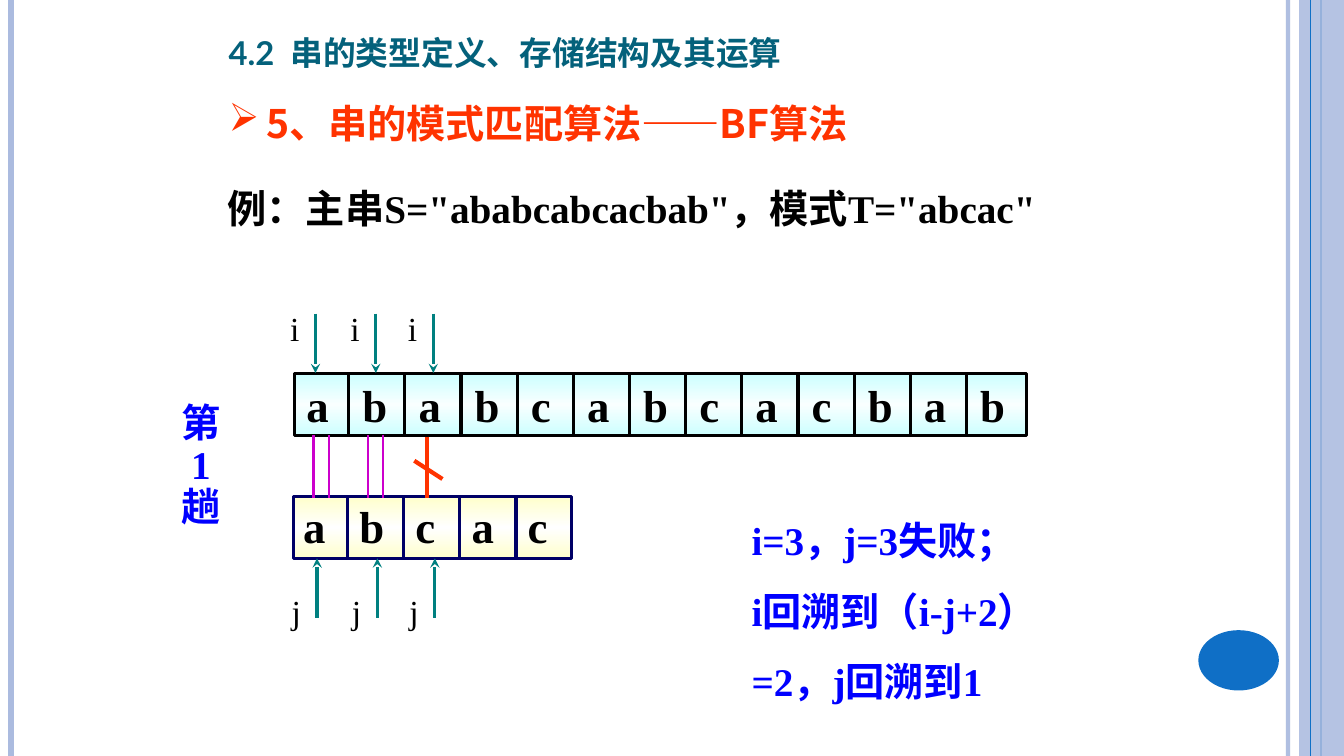
from copy import deepcopy

from lxml.etree import SubElement
from pptx import Presentation
from pptx.dml.color import RGBColor
from pptx.enum.shapes import MSO_CONNECTOR, MSO_SHAPE
from pptx.enum.text import MSO_ANCHOR, MSO_AUTO_SIZE, PP_ALIGN
from pptx.oxml.ns import qn
from pptx.util import Cm, Pt

BLACK = RGBColor(0, 0, 0)
WHITE = RGBColor(255, 255, 255)
BLUE = RGBColor(0, 0, 255)
RED = RGBColor(0xFF, 0x33, 0)
TEAL = RGBColor(0, 0x80, 0x80)
PURPLE = RGBColor(0xCC, 0, 0xCC)
NAVY = RGBColor(0, 0, 0x66)
CYAN = RGBColor(0xCC, 0xFF, 0xFF)
PALE_CYAN = RGBColor(0xF9, 0xFF, 0xFF)
CREAM = RGBColor(0xFF, 0xFF, 0xCC)
TITLE_BLUE = RGBColor(0x04, 0x61, 0x7B)
THEME_BLUE = RGBColor(0x0F, 0x6F, 0xC6)
LAVENDER = RGBColor(0xAB, 0xBB, 0xDF)
SERIF = "Times New Roman"
CHINESE = "Noto Sans CJK SC"


def write(frame, text, size=28, color=BLACK, bold=True, font=SERIF, spacing=1.0, inset=(0.25, 0.13),
          anchor=MSO_ANCHOR.TOP, small_caps=False):
    """Fill a text frame, one paragraph per line of text."""
    frame.word_wrap = True
    frame.auto_size = MSO_AUTO_SIZE.NONE
    frame.vertical_anchor = anchor
    frame.margin_left = frame.margin_right = Cm(inset[0])
    frame.margin_top = frame.margin_bottom = Cm(inset[1])
    for index, line in enumerate(text.split("\n")):
        para = frame.add_paragraph() if index else frame.paragraphs[0]
        para.alignment = PP_ALIGN.LEFT
        para.line_spacing = spacing
        span = para.add_run()
        span.text = line
        span.font.size = Pt(size)
        span.font.bold = bold
        span.font.color.rgb = color
        span.font.name = font
        properties = span.font._element
        SubElement(properties, qn("a:ea")).set("typeface", CHINESE)
        if small_caps:
            properties.set("cap", "small")


def set_alpha(element, percent):
    """Make the first plain colour of an element partly transparent."""
    color = element.find(".//" + qn("a:srgbClr"))
    SubElement(color, qn("a:alpha")).set("val", str(percent * 1000))


class Board:
    """Draws the elements of the current slide in one style."""

    def __init__(self, page):
        self.page = page

    def title(self, text, left, top, width, height, **style):
        """Place and format the title placeholder."""
        box = self.page.shapes.title
        box.left, box.top, box.width, box.height = Cm(left), Cm(top), Cm(width), Cm(height)
        write(box.text_frame, text, **style)

    def text(self, text, left, top, width, height, **style):
        """Add a text box."""
        box = self.page.shapes.add_textbox(Cm(left), Cm(top), Cm(width), Cm(height))
        write(box.text_frame, text, **style)
        return box

    def line(self, start, end, color, width, arrow=False, alpha=None):
        """Add a straight line, with an arrowhead if asked."""
        line = self.page.shapes.add_connector(MSO_CONNECTOR.STRAIGHT, *map(Cm, start + end))
        line.line.color.rgb = color
        line.line.width = Pt(width)
        if alpha:
            set_alpha(line._element.spPr, alpha)
        if arrow:
            SubElement(line.line._get_or_add_ln(), qn("a:tailEnd")).set("type", "stealth")
        SubElement(line._element.spPr, qn("a:effectLst"))

    def shape(self, kind, left, top, width, height, color, alpha=None):
        """Add a filled shape without outline."""
        shape = self.page.shapes.add_shape(kind, Cm(left), Cm(top), Cm(width), Cm(height))
        shape.shadow.inherit = False
        shape.fill.solid()
        shape.fill.fore_color.rgb = color
        shape.line.fill.background()
        if alpha:
            set_alpha(shape._element.spPr, alpha)
        return shape

    def string_row(self, letters, left, top, width, first, edge, glow, border, inset, spacing=1.0):
        """Add a gradient bar divided into one cell per letter."""
        height, pitch = 1.55, 1.415
        bar = self.shape(MSO_SHAPE.RECTANGLE, left, top, width, height, edge)
        bar.fill.gradient()
        bar.fill.gradient_angle = 90
        stops = bar._element.spPr.find(".//" + qn("a:gsLst"))
        stops.append(deepcopy(stops[0]))
        for stop, color, position in zip(bar.fill.gradient_stops, (edge, glow, edge), (0, 0.5, 1)):
            stop.color.rgb = color
            stop.position = position
        bar.line.color.rgb = border
        bar.line.width = Pt(2.25)
        write(bar.text_frame, "\t".join(letters), size=32, inset=(inset, 0), spacing=spacing,
              anchor=MSO_ANCHOR.MIDDLE)
        tabs = SubElement(bar.text_frame.paragraphs[0]._p.get_or_add_pPr(), qn("a:tabLst"))
        for index in range(1, len(letters)):
            tab = SubElement(tabs, qn("a:tab"))
            tab.set("pos", str(Cm(index * pitch)))
            tab.set("algn", "l")
            x = first + (index - 1) * pitch
            self.line((x, top), (x, top + height), border, 2.25)

    def pointer(self, name, x, label_top, tail, tip):
        """Add an index arrow with its name to the left."""
        self.line((x, tail), (x, tip), TEAL, 2.25, arrow=True)
        self.text(name, x - 0.64, label_top, 0.64, 1.27, size=24, bold=False, inset=(0, 0.13))


deck = Presentation()
deck.slide_width, deck.slide_height = Cm(33.87), Cm(19.05)
board = Board(deck.slides.add_slide(deck.slide_layouts[5]))

for x, color, width, alpha in ((32.46, LAVENDER, 3, 93), (0.28, LAVENDER, 4.5, None),
                               (33.3, THEME_BLUE, 1.5, None)):
    board.line((x, 0), (x, 19.05), color, width, alpha=alpha)
board.shape(MSO_SHAPE.RECTANGLE, 32.74, 0, 1.13, 19.05, LAVENDER, alpha=87)
board.line((33.02, 0), (33.02, 19.05), THEME_BLUE, 0.75)
board.shape(MSO_SHAPE.OVAL, 30.2, 15.88, 2.03, 1.52, THEME_BLUE)

board.title("4.2  串的类型定义、存储结构及其运算", 5.51, 0.46, 20.75, 1.55, size=29.2, color=TITLE_BLUE,
            font="Lato", spacing=0.9, anchor=MSO_ANCHOR.BOTTOM, small_caps=True)
heading = board.text("5、串的模式匹配算法——BF算法", 5.51, 2.13, 24.54, 1.65, color=RED, font=CHINESE, spacing=1.2)
bullet = heading.text_frame.paragraphs[0]._p.get_or_add_pPr()
bullet.set("marL", str(Cm(0.95)))
bullet.set("indent", str(Cm(-0.95)))
SubElement(bullet, qn("a:buChar")).set("char", "➢")
board.text('例：主串S="ababcabcacbab"，模式T="abcac"', 5.49, 4.52, 22.66, 1.45)

board.string_row("ababcabcacbab", 7.42, 9.42, 18.44, 8.79, CYAN, PALE_CYAN, BLACK, 0.3)
board.string_row("abcac", 7.39, 12.52, 7.01, 8.76, CREAM, WHITE, NAVY, 0.25, spacing=0.96)

for x in (7.95, 9.47, 10.92):
    board.pointer("i", x, 7.62, 7.9, 9.4)
    board.pointer("j", x + 0.04, 14.76, 15.57, 14.07)
for x in (7.9, 8.28, 9.27, 9.65):
    board.line((x, 10.97), (x, 12.55), PURPLE, 1.5)
board.line((10.77, 11), (10.77, 12.55), RED, 3)
board.line((10.44, 11.61), (11.15, 12.07), RED, 3)

board.text("第\n 1\n趟", 4.32, 10.03, 1.8, 3.48, color=BLUE, spacing=0.9)
board.text("i=3，j=3失败；\ni回溯到（i-j+2）=2，j回溯到1", 18.69, 12.29, 9.4, 5.64, color=BLUE, spacing=1.5)

deck.save("out.pptx")
